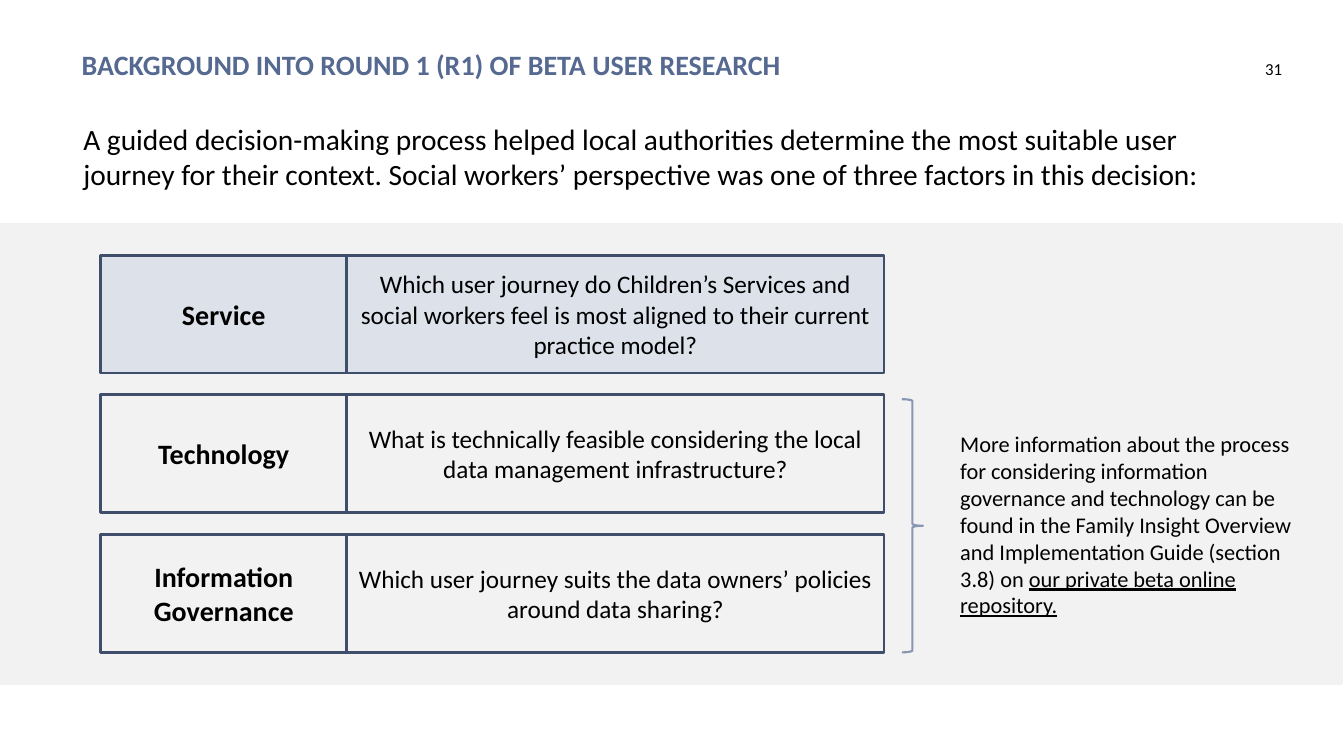
from pptx import Presentation
from pptx.dml.color import RGBColor
from pptx.enum.shapes import MSO_SHAPE
from pptx.enum.text import MSO_ANCHOR, MSO_AUTO_SIZE, PP_ALIGN
from pptx.util import Cm, Pt

BLACK = RGBColor(0x00, 0x00, 0x00)
HEADING_BLUE = RGBColor(0x55, 0x69, 0x91)
BORDER_BLUE = RGBColor(0x3F, 0x4E, 0x6B)
BRACE_BLUE = RGBColor(0x88, 0x96, 0xB2)
HIGHLIGHT_BLUE = RGBColor(0xDC, 0xE1, 0xEA)
BAND_GREY = RGBColor(0xF2, 0xF2, 0xF2)

NO_INSETS = dict.fromkeys(
    ("margin_left", "margin_top", "margin_right", "margin_bottom"), Cm(0))

LABEL_LEFT, LABEL_WIDTH = 2.54, 6.2
QUESTION_LEFT, QUESTION_WIDTH = LABEL_LEFT + LABEL_WIDTH, 13.54
ROW_TOP, ROW_STEP, ROW_HEIGHT = 6.43, 3.52, 2.97

FACTORS = [
    (["Service"],
     "Which user journey do Children’s Services and social workers feel is "
     "most aligned to their current practice model?", HIGHLIGHT_BLUE),
    (["Technology"],
     "What is technically feasible considering the local data management "
     "infrastructure?", None),
    (["Information", "Governance"],
     "Which user journey suits the data owners’ policies around data sharing?",
     None),
]


def apply_format(target, values):
    for name, value in values.items():
        setattr(target, name, value)


class SlideBuilder:
    """Adds consistently styled elements to one slide."""

    font_name = "Calibri"

    def __init__(self, slide):
        self.slide = slide

    def fill_frame(self, frame, paragraphs, size, color=BLACK, bold=False,
                   frame_format=None, para_format=None):
        """Fill a frame; each paragraph is a list of (text, underlined) spans."""
        apply_format(frame, {"word_wrap": True,
                             "auto_size": MSO_AUTO_SIZE.NONE,
                             "vertical_anchor": MSO_ANCHOR.TOP,
                             **(frame_format or {})})
        for index, spans in enumerate(paragraphs):
            para = frame.add_paragraph() if index else frame.paragraphs[0]
            apply_format(para, {"alignment": PP_ALIGN.LEFT,
                                **(para_format or {})})
            for text, underlined in spans:
                span = para.add_run()
                span.text = text
                apply_format(span.font, {"name": self.font_name,
                                         "size": Pt(size), "bold": bold,
                                         "underline": underlined})
                span.font.color.rgb = color

    def title(self, text, left, top, width, height):
        title = self.slide.shapes.title
        apply_format(title, {"left": Cm(left), "top": Cm(top),
                             "width": Cm(width), "height": Cm(height)})
        self.fill_frame(title.text_frame, [[(text, False)]], 20, HEADING_BLUE,
                        True, NO_INSETS)

    def text(self, spans, left, top, width, height, size, **formats):
        box = self.slide.shapes.add_textbox(
            Cm(left), Cm(top), Cm(width), Cm(height))
        self.fill_frame(box.text_frame, [spans], size, **formats)

    def shape(self, kind, left, top, width, height, fill, line, line_width=2):
        shape = self.slide.shapes.add_shape(
            kind, Cm(left), Cm(top), Cm(width), Cm(height))
        shape.shadow.inherit = False
        if fill is None:
            shape.fill.background()
        else:
            shape.fill.solid()
            shape.fill.fore_color.rgb = fill
        shape.line.color.rgb = line
        shape.line.width = Pt(line_width)
        return shape

    def cell(self, lines, left, top, width, fill, size, bold=False):
        """Add a bordered rectangle with centred text."""
        box = self.shape(MSO_SHAPE.RECTANGLE, left, top, width, ROW_HEIGHT,
                         fill, BORDER_BLUE)
        self.fill_frame(box.text_frame, [[(line, False)] for line in lines],
                        size, bold=bold,
                        frame_format={"vertical_anchor": MSO_ANCHOR.MIDDLE},
                        para_format={"alignment": PP_ALIGN.CENTER})


def main():
    deck = Presentation()
    deck.slide_width, deck.slide_height = Cm(33.87), Cm(19.05)
    page = SlideBuilder(deck.slides.add_slide(deck.slide_layouts[5]))

    page.shape(MSO_SHAPE.RECTANGLE, 0, 5.66, 33.81, 11.56, BAND_GREY, BAND_GREY)
    page.title("BACKGROUND INTO ROUND 1 (R1) OF BETA USER RESEARCH",
               2.06, 1.19, 27.03, 1.7)
    page.text([("31", False)], 31.34, 1.47, 0.97, 1.02, 12,
              frame_format=NO_INSETS, para_format={"alignment": PP_ALIGN.RIGHT})
    page.text([("A guided decision-making process helped local authorities "
                "determine the most suitable user journey for their context. "
                "Social workers’ perspective was one of three factors in this "
                "decision:", False)], 1.85, 2.92, 29.49, 2.34, 21)

    for row, (label, question, fill) in enumerate(FACTORS):
        top = ROW_TOP + row * ROW_STEP
        page.cell(label, LABEL_LEFT, top, LABEL_WIDTH, fill, 20, bold=True)
        page.cell([question], QUESTION_LEFT, top, QUESTION_WIDTH, fill, 18)

    page.shape(MSO_SHAPE.RIGHT_BRACE, 22.73, 10.06, 0.53, 6.38,
               None, BRACE_BLUE, 1.5)
    page.text([("More information about the process for considering information "
                "governance and technology can be found in the Family Insight "
                "Overview and Implementation Guide (section 3.8) on ", False),
               ("our private beta online repository.", True)],
              23.95, 10.72, 9.19, 5.05, 16,
              para_format={"space_before": Pt(6)})

    deck.save("out.pptx")


if __name__ == "__main__":
    main()
